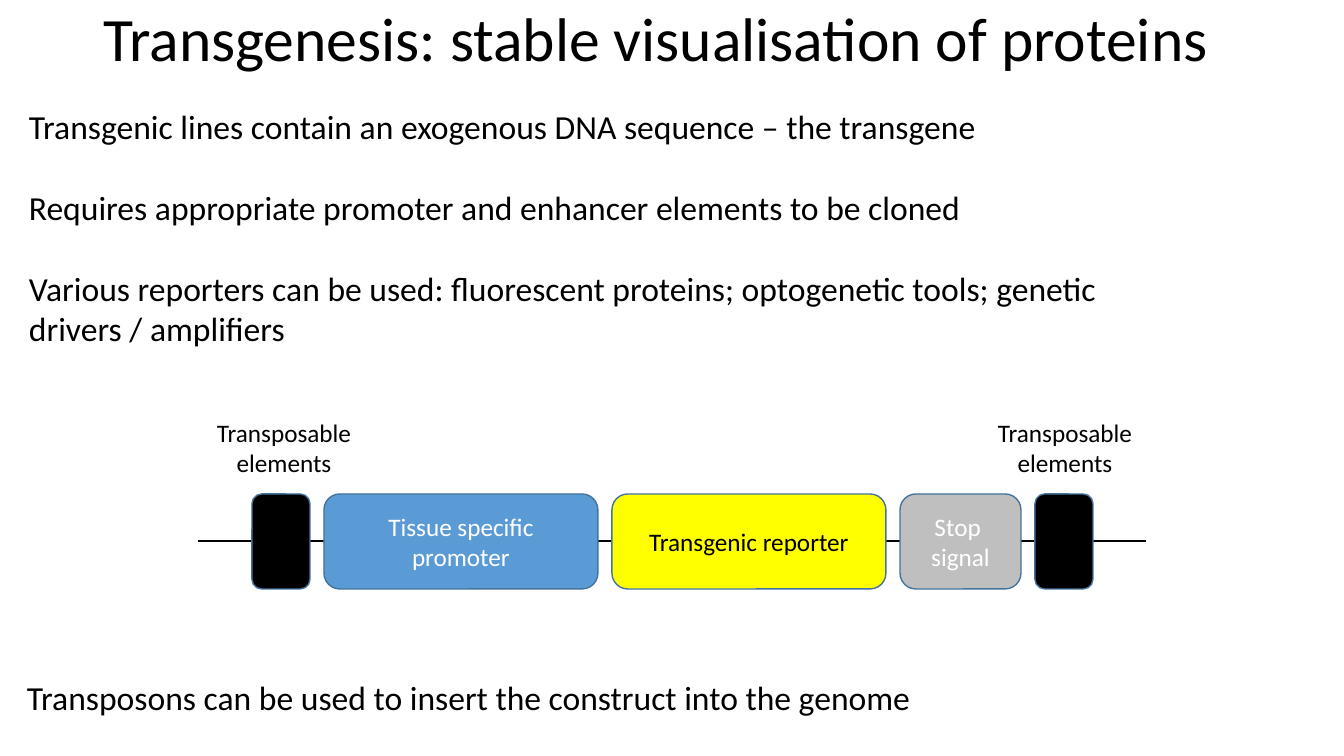
from lxml import etree
from pptx import Presentation
from pptx import util as u
from pptx.dml.color import RGBColor
from pptx.enum import shapes, text
from pptx.oxml.ns import qn

SLIDE_WIDTH, SLIDE_HEIGHT = 1344, 756
EMU_PER_PX = u.Inches(7.5) / SLIDE_HEIGHT
FONT = "Calibri"
COLORS = {
    "black": "000000",
    "white": "FFFFFF",
    "blue": "5B9BD5",
    "outline": "43739E",
    "yellow": "FFFF00",
    "gray": "BFBFBF",
}
BLOCK_GAP = 14
BLOCK_HEIGHT = 95
# width, fill, text colour, lines of text
BLOCKS = [
    (58, "black", "white", []),
    (274, "blue", "white", ["Tissue specific promoter"]),
    (274, "yellow", "black", ["Transgenic reporter"]),
    (121, "gray", "white", ["Stop ", "signal"]),
    (58, "black", "white", []),
]
# text, space before in points
POINTS = [
    ("Transgenic lines contain an exogenous DNA sequence – the transgene", 0),
    ("Requires appropriate promoter and enhancer elements to be cloned", 29),
    ("Various reporters can be used: fluorescent proteins; optogenetic tools; genetic", 29),
    ("drivers / amplifiers", 0),
]


def px(*lengths):
    return [u.Emu(round(length * EMU_PER_PX)) for length in lengths]


def color(name):
    return RGBColor.from_string(COLORS[name])


def write(frame, lines, size, color_name="black", alignment=text.PP_ALIGN.LEFT):
    frame.text = "\n".join(lines)
    for paragraph in frame.paragraphs:
        paragraph.alignment = alignment
        for run in paragraph.runs:
            run.font.name = FONT
            run.font.size = u.Pt(size)
            run.font.color.rgb = color(color_name)


def add_text(slide, box, lines, size, alignment=text.PP_ALIGN.LEFT):
    frame = slide.shapes.add_textbox(*px(*box)).text_frame
    frame.word_wrap = False
    frame.auto_size = text.MSO_AUTO_SIZE.SHAPE_TO_FIT_TEXT
    write(frame, lines, size, alignment=alignment)
    return frame


def add_title(slide, box):
    title = slide.shapes.title
    title.left, title.top, title.width, title.height = px(*box)
    frame = title.text_frame
    write(frame, ["Transgenesis: stable visualisation of proteins"], 44)
    frame.vertical_anchor = text.MSO_ANCHOR.TOP
    frame.paragraphs[0].line_spacing = 0.9


def add_points(slide, box):
    frame = add_text(slide, box, [line for line, _ in POINTS], 24)
    for paragraph, (_, space) in zip(frame.paragraphs, POINTS):
        paragraph.space_before = u.Pt(space)


def add_strand(slide, left, right, y):
    strand = slide.shapes.add_connector(
        shapes.MSO_CONNECTOR.STRAIGHT, *px(left, y, right, y))
    strand.line.color.rgb = color("black")
    strand.line.width = u.Pt(1.5)
    etree.SubElement(strand._element.spPr, qn("a:effectLst"))


def add_block(slide, box, fill, text_color, lines):
    block = slide.shapes.add_shape(
        shapes.MSO_SHAPE.ROUNDED_RECTANGLE, *px(*box))
    block.shadow.inherit = False
    block.fill.solid()
    block.fill.fore_color.rgb = color(fill)
    block.line.color.rgb = color("outline")
    block.line.width = u.Pt(1)
    if lines:
        block.text_frame.vertical_anchor = text.MSO_ANCHOR.MIDDLE
        write(block.text_frame, lines, 18, text_color, text.PP_ALIGN.CENTER)


def add_construct(slide, box):
    """Draw the blocks on their strand, with a label above each end."""
    left, top, width, height = box
    block_top = top + height - BLOCK_HEIGHT
    add_strand(slide, left, left + width, block_top + BLOCK_HEIGHT // 2)
    x = left + 54
    for block_width, *style in BLOCKS:
        add_block(slide, (x, block_top, block_width, BLOCK_HEIGHT), *style)
        x += block_width + BLOCK_GAP
    label_width = 156
    for label_left in (left + 8, left + width - label_width - 3):
        add_text(slide, (label_left, top, label_width, 72),
                 ["Transposable", "elements"], 18, text.PP_ALIGN.CENTER)


def main():
    presentation = Presentation()
    presentation.slide_width, presentation.slide_height = px(SLIDE_WIDTH, SLIDE_HEIGHT)
    slide = presentation.slides.add_slide(presentation.slide_layouts[5])
    add_title(slide, (93, 3, 1159, 146))
    add_points(slide, (19, 101, 1106, 254))
    add_construct(slide, (198, 412, 948, 177))
    add_text(slide, (17, 672, 912, 50),
             ["Transposons can be used to insert the construct into the genome"], 24)
    presentation.save("out.pptx")


if __name__ == "__main__":
    main()
